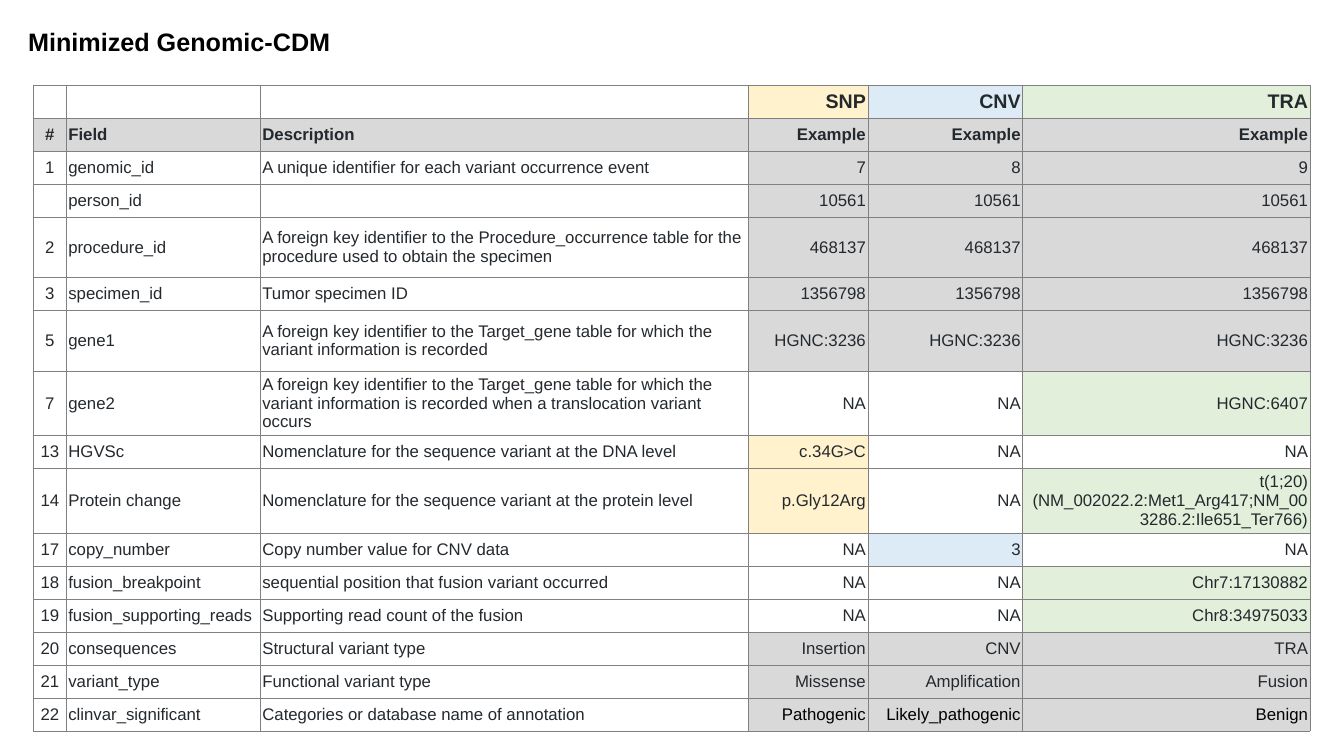
from lxml.etree import SubElement
from pptx import Presentation
from pptx.dml.color import RGBColor
from pptx.enum.text import MSO_ANCHOR as Anchor, MSO_AUTO_SIZE as AutoSize, PP_ALIGN as Align
from pptx.oxml.ns import qn
from pptx.util import Pt

FONT = "Arial"
BLACK, INK, GRID = "000000", "24292E", "808080"
WHITE, GREY = "FFFFFF", "D9D9D9"
VARIANT_FILLS = ["FFF2CC", "DDEBF7", "E2EFDA"]  # SNP, CNV, TRA
EXAMPLE_COL = 3
NOT_APPLICABLE = "NA"
COLUMN_WIDTHS = [23.6, 138.6, 348.6, 85.4, 110.6, 205.2]
COLUMN_ALIGNS = [Align.CENTER, Align.LEFT, Align.LEFT] + [Align.RIGHT] * 3
ROW_HEIGHT, TALL_ROW_HEIGHT = 23.6, 43.2
TALL_FIELDS = {"procedure_id", "gene1", "gene2", "Protein change"}

ROWS = [
    ("", "", "", "SNP", "CNV", "TRA"),
    ("#", "Field", "Description", "Example", "Example", "Example"),
    ("1", "genomic_id", "A unique identifier for each variant occurrence event", "7", "8", "9"),
    ("", "person_id", "", "10561", "10561", "10561"),
    ("2", "procedure_id",
     "A foreign key identifier to the Procedure_occurrence table for the procedure used to obtain the specimen",
     "468137", "468137", "468137"),
    ("3", "specimen_id", "Tumor specimen ID", "1356798", "1356798", "1356798"),
    ("5", "gene1",
     "A foreign key identifier to the Target_gene table for which the variant information is recorded",
     "HGNC:3236", "HGNC:3236", "HGNC:3236"),
    ("7", "gene2",
     "A foreign key identifier to the Target_gene table for which the variant information is recorded "
     "when a translocation variant occurs",
     "NA", "NA", "HGNC:6407"),
    ("13", "HGVSc", "Nomenclature for the sequence variant at the DNA level", "c.34G>C", "NA", "NA"),
    ("14", "Protein change", "Nomenclature for the sequence variant at the protein level",
     "p.Gly12Arg", "NA", "t(1;20)(NM_002022.2:Met1_Arg417;NM_003286.2:Ile651_Ter766)"),
    ("17", "copy_number", "Copy number value for CNV data", "NA", "3", "NA"),
    ("18", "fusion_breakpoint", "sequential position that fusion variant occurred",
     "NA", "NA", "Chr7:17130882"),
    ("19", "fusion_supporting_reads", "Supporting read count of the fusion",
     "NA", "NA", "Chr8:34975033"),
    ("20", "consequences", "Structural variant type", "Insertion", "CNV", "TRA"),
    ("21", "variant_type", "Functional variant type", "Missense", "Amplification", "Fusion"),
    ("22", "clinvar_significant", "Categories or database name of annotation",
     "Pathogenic", "Likely_pathogenic", "Benign"),
]


def rgb(color):
    return RGBColor.from_string(color)


def style_font(font, size, color, bold):
    font.name, font.size, font.bold = FONT, Pt(size), bold
    font.color.rgb = rgb(color)


def cell_fill(row, col):
    """Grey marks shared fields, a variant's colour marks its own; None is unfilled."""
    if row == 1:
        return GREY
    if col < EXAMPLE_COL:
        return WHITE if col == 0 and row > 1 else None
    if row > 1 and NOT_APPLICABLE not in ROWS[row]:
        return GREY
    return None if ROWS[row][col] == NOT_APPLICABLE else VARIANT_FILLS[col - EXAMPLE_COL]


def add_borders(cell):
    """Must run before the cell is filled, as borders precede the fill in the XML."""
    properties = cell._tc.get_or_add_tcPr()
    for side in ("lnL", "lnR", "lnT", "lnB"):
        border = SubElement(properties, qn(f"a:{side}"), w=str(Pt(0.5)))
        solid = SubElement(border, qn("a:solidFill"))
        SubElement(solid, qn("a:srgbClr"), val=GRID)


def format_cell(cell, row, col):
    cell.margin_left = cell.margin_right = cell.margin_top = cell.margin_bottom = Pt(1.44)
    cell.vertical_anchor = Anchor.MIDDLE
    add_borders(cell)
    fill = cell_fill(row, col)
    if fill:
        cell.fill.solid()
        cell.fill.fore_color.rgb = rgb(fill)
    else:
        cell.fill.background()

    cell.text_frame.text = ROWS[row][col]
    paragraph = cell.text_frame.paragraphs[0]
    paragraph.alignment = COLUMN_ALIGNS[col]
    last_examples = row == len(ROWS) - 1 and col >= EXAMPLE_COL
    for run in paragraph.runs:
        style_font(run.font, 14 if row == 0 else 12, BLACK if last_examples else INK, row < 2)
    if not paragraph.runs:
        SubElement(paragraph._p, qn("a:endParaRPr"), sz="1200")


def add_title(slide, left, top, width, height):
    frame = slide.shapes.add_textbox(Pt(left), Pt(top), Pt(width), Pt(height)).text_frame
    frame.word_wrap = False
    frame.auto_size = AutoSize.SHAPE_TO_FIT_TEXT
    frame.text = "Minimized Genomic-CDM"
    style_font(frame.paragraphs[0].runs[0].font, 18, BLACK, True)


def add_field_table(slide, left, top):
    heights = [TALL_ROW_HEIGHT if fields[1] in TALL_FIELDS else ROW_HEIGHT for fields in ROWS]
    table = slide.shapes.add_table(
        len(ROWS), len(COLUMN_WIDTHS), Pt(left), Pt(top),
        Pt(sum(COLUMN_WIDTHS)), Pt(sum(heights))).table
    table.first_row = table.horz_banding = False
    for column, width in zip(table.columns, COLUMN_WIDTHS):
        column.width = Pt(width)
    for row, height in enumerate(heights):
        table.rows[row].height = Pt(height)
        for col in range(len(COLUMN_WIDTHS)):
            format_cell(table.cell(row, col), row, col)


def main():
    deck = Presentation()
    deck.slide_width, deck.slide_height = Pt(960), Pt(540)
    slide = deck.slides.add_slide(deck.slide_layouts[6])
    add_title(slide, 13, 15.1, 232.6, 28.8)
    add_field_table(slide, 23.8, 60.6)
    deck.save("out.pptx")


if __name__ == "__main__":
    main()
